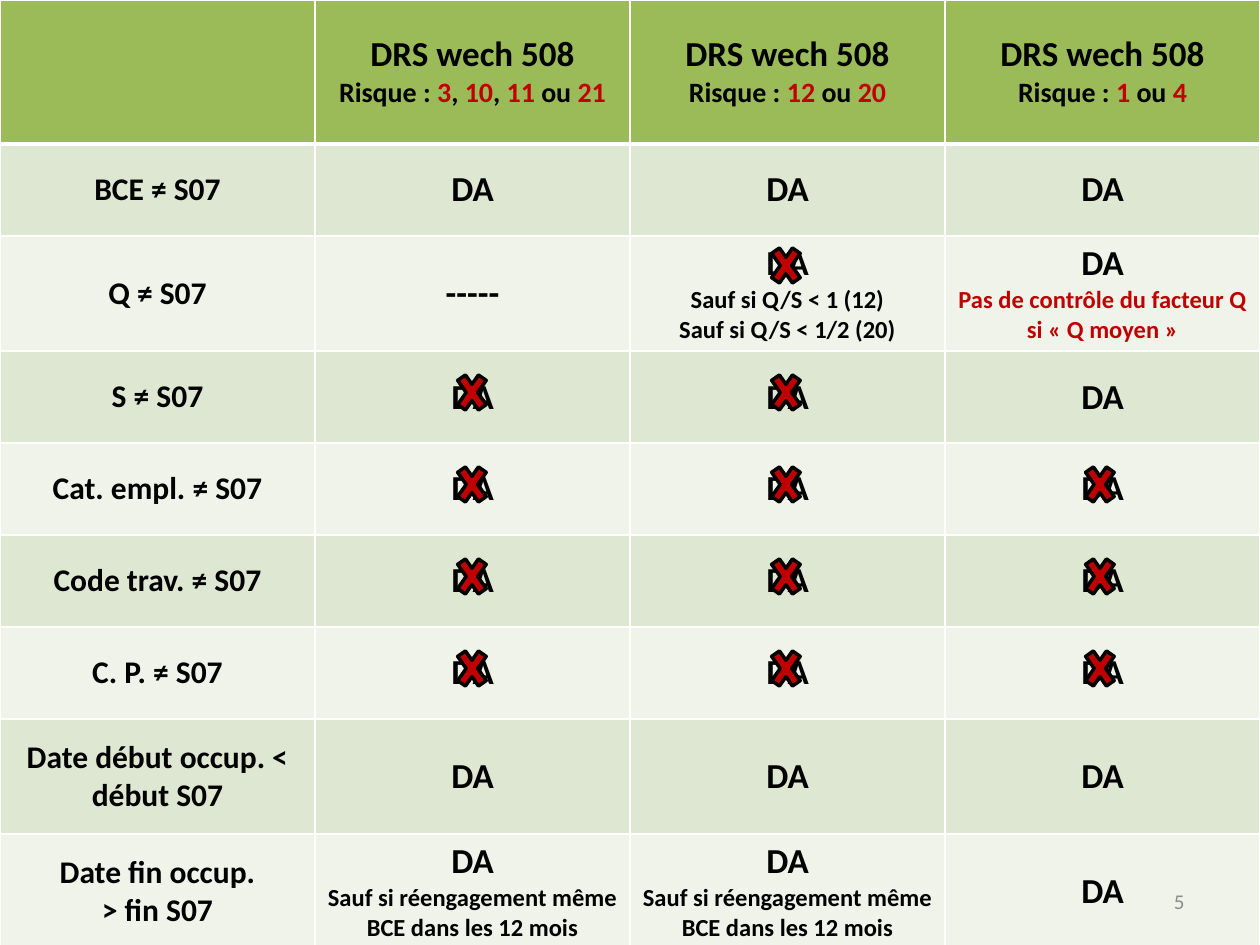
from dataclasses import dataclass
from itertools import accumulate

from lxml import etree
from pptx import Presentation
from pptx.dml.color import RGBColor
from pptx.enum.shapes import MSO_SHAPE
from pptx.enum.text import MSO_ANCHOR, PP_ALIGN
from pptx.oxml.ns import qn
from pptx.util import Pt

CENTER, RIGHT = PP_ALIGN.CENTER, PP_ALIGN.RIGHT
MIDDLE = MSO_ANCHOR.MIDDLE
CROSS = MSO_SHAPE.MATH_MULTIPLY
EMU_PER_PX = 914400 / 126


@dataclass(frozen=True)
class Theme:
    font: str = "Calibri"
    black: str = "000000"
    red: str = "C00000"
    white: str = "FFFFFF"
    gray: str = "8C8C8C"
    header: str = "9BBB59"
    bands: tuple = ("DEE7D1", "EFF3EA")
    main_size: int = 20
    label_size: int = 18
    risk_size: int = 16
    note_size: int = 14
    number_size: int = 12
    border: int = 1
    header_border: int = 3


THEME = Theme()

COLUMN_WIDTH = 315
ROW_HEIGHTS = [144, 92, 115, 92, 92, 92, 92, 115, 115]

# Lines of a cell are parted by newlines; text between bars is red.
DECISION = "DA"
REHIRED = "DA\nSauf si réengagement même BCE dans les 12 mois"
ROWS = [
    ["", "DRS wech 508\nRisque : |3|, |10|, |11 |ou| 21",
     "DRS wech 508\nRisque : |12| ou |20", "DRS wech 508\nRisque : |1| ou |4"],
    ["BCE ≠ S07"] + [DECISION] * 3,
    ["Q ≠ S07", "-----",
     "DA\nSauf si Q/S < 1 (12)\nSauf si Q/S < 1/2 (20)",
     "DA\n|Pas de contrôle du facteur Q\n|si « Q moyen »"],
    ["S ≠ S07"] + [DECISION] * 3,
    ["Cat. empl. ≠ S07"] + [DECISION] * 3,
    ["Code trav. ≠ S07"] + [DECISION] * 3,
    ["C. P. ≠ S07"] + [DECISION] * 3,
    ["Date début occup. < début S07"] + [DECISION] * 3,
    ["Date fin occup.\n> fin S07", REHIRED, REHIRED, DECISION],
]
# Row index: columns whose decision is crossed out.
CROSSED = {2: [2], 3: [1, 2], 4: [1, 2, 3], 5: [1, 2, 3], 6: [1, 2, 3]}


def px(length):
    return round(length * EMU_PER_PX)


def color(value):
    return RGBColor.from_string(value)


def set_borders(cell, widths):
    """Put white borders, in points for left, right, top and bottom, before the fill."""
    properties = cell._tc.get_or_add_tcPr()
    for index, (side, width) in enumerate(zip("LRTB", widths)):
        line = etree.Element(qn(f"a:ln{side}"), w=str(Pt(width)))
        fill = etree.SubElement(line, qn("a:solidFill"))
        etree.SubElement(fill, qn("a:srgbClr"), val=THEME.white)
        properties.insert(index, line)


def write_line(paragraph, text, size):
    paragraph.alignment = CENTER
    for index, part in enumerate(text.split("|")):
        if part:
            run = paragraph.add_run()
            run.text = part
            run.font.color.rgb = color(THEME.red if index % 2 else THEME.black)
    font = paragraph.font
    font.name, font.size, font.bold = THEME.font, Pt(size), True


def write_cell(cell, text, first_size, next_size):
    cell.vertical_anchor = MIDDLE
    frame = cell.text_frame
    for index, line in enumerate(text.split("\n")):
        paragraph = frame.add_paragraph() if index else frame.paragraphs[0]
        write_line(paragraph, line, next_size if index else first_size)


def add_decision_table(slide, left, top):
    width = COLUMN_WIDTH * len(ROWS[0])
    table = slide.shapes.add_table(len(ROWS), len(ROWS[0]), px(left), px(top),
                                   px(width), px(sum(ROW_HEIGHTS))).table
    for row_index, texts in enumerate(ROWS):
        table.rows[row_index].height = px(ROW_HEIGHTS[row_index])
        is_header = row_index == 0
        band = THEME.header if is_header else THEME.bands[(row_index - 1) % 2]
        above = THEME.header_border if row_index == 1 else THEME.border
        below = THEME.header_border if is_header else THEME.border
        for column_index, text in enumerate(texts):
            cell = table.cell(row_index, column_index)
            cell.fill.solid()
            cell.fill.fore_color.rgb = color(band)
            set_borders(cell, (THEME.border, THEME.border, above, below))
            if column_index == 0:
                sizes = THEME.label_size, THEME.label_size
            else:
                sizes = THEME.main_size, THEME.risk_size if is_header else THEME.note_size
            write_cell(cell, text, *sizes)


def add_cross(slide, left, top):
    cross = slide.shapes.add_shape(CROSS, px(left), px(top), px(40), px(57))
    cross.shadow.inherit = False
    cross.fill.solid()
    cross.fill.fore_color.rgb = color(THEME.red)
    cross.line.color.rgb = color(THEME.black)
    cross.line.width = Pt(2)


def add_crosses(slide, left, top):
    row_tops = [0, *accumulate(ROW_HEIGHTS)]
    for row, columns in CROSSED.items():
        is_multiline = "\n" in ROWS[row][columns[0]]
        offset = 1 if is_multiline else 13
        for column in columns:
            add_cross(slide, left + 138 + 314 * column, top + row_tops[row] + offset)


def add_page_number(slide, left, top, width, height):
    box = slide.shapes.add_textbox(px(left), px(top), px(width), px(height))
    frame = box.text_frame
    frame.word_wrap = True
    frame.vertical_anchor = MIDDLE
    paragraph = frame.paragraphs[0]
    paragraph.text = "5"
    paragraph.alignment = RIGHT
    paragraph.font.name = THEME.font
    paragraph.font.size = Pt(THEME.number_size)
    paragraph.font.color.rgb = color(THEME.gray)


def main():
    presentation = Presentation()
    presentation.slide_width, presentation.slide_height = px(1260), px(945)
    slide = presentation.slides.add_slide(presentation.slide_layouts[6])
    add_decision_table(slide, 0, 0)
    add_crosses(slide, 0, 0)
    add_page_number(slide, 903, 876, 294, 50)
    presentation.save("out.pptx")


if __name__ == "__main__":
    main()
